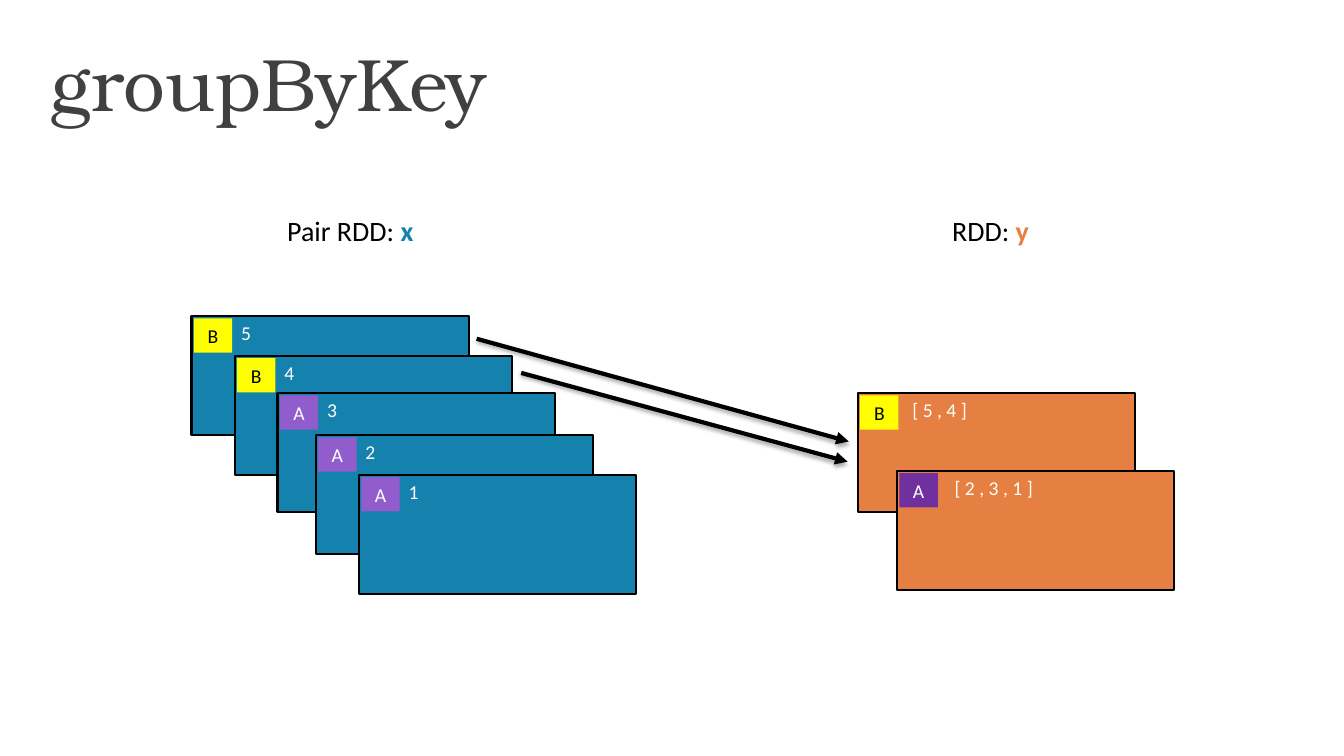
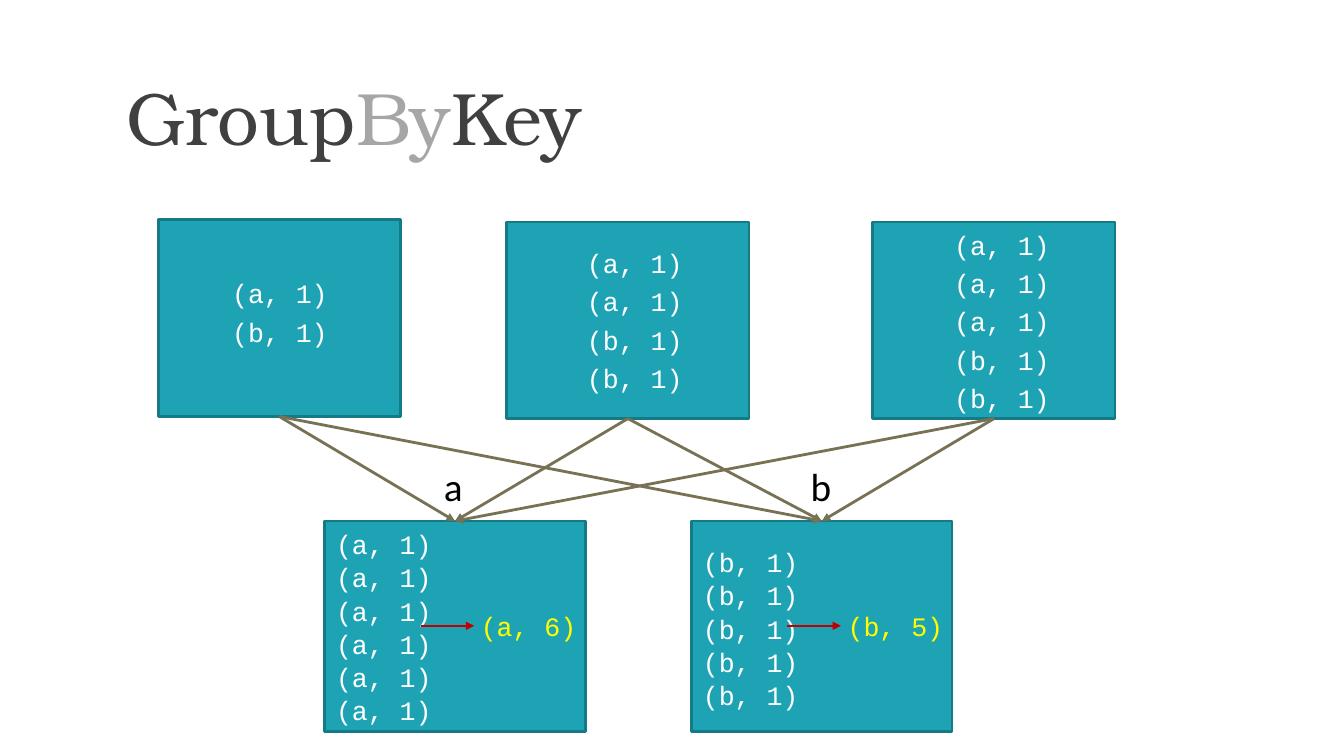
"""Two slides that explain groupByKey on pair RDDs."""
from lxml import etree
from pptx import Presentation
from pptx.dml import color
from pptx.enum import shapes, text
from pptx.oxml import ns
from pptx.util import Pt

SERIF, SANS, MONO = "TeX Gyre Bonum", "Calibri", "Courier New"
BLACK, WHITE, YELLOW, RED = "000000", "FFFFFF", "FFFF00", "C00000"
DARK, GREY, OLIVE = "404040", "A6A6A6", "787254"
BLUE, ORANGE, LILAC, PURPLE = "1482AC", "E68042", "915CCC", "7030A0"
TEAL, TEAL_EDGE = "1EA3B5", "167986"
CODE_SIZE, CODE_LINE = 19, 21.5


def rgb(value):
    """Turn a hex string into a colour."""
    return color.RGBColor.from_string(value)


def box(at):
    """Turn left, top, width and height in points into lengths."""
    return [Pt(v) for v in at]


def add_run(p, words, size, font, fill, bold=False):
    """Add one formatted run to a paragraph."""
    r = p.add_run()
    r.text = words
    r.font.size, r.font.name, r.font.bold = Pt(size), font, bold
    r.font.color.rgb = rgb(fill)


def add_text(s, at, align=text.PP_ALIGN.LEFT):
    """Add a wrapping text box and return its text frame."""
    tf = s.shapes.add_textbox(*box(at)).text_frame
    tf.word_wrap = True
    tf.paragraphs[0].alignment = align
    return tf


def add_label(s, at, runs, size, font=SANS, align=text.PP_ALIGN.LEFT):
    """Add a one-line label from (words, colour, bold) runs."""
    p = add_text(s, at, align).paragraphs[0]
    for words, fill, bold in runs:
        add_run(p, words, size, font, fill, bold)


def add_title(s, at, runs):
    """Add the slide title from (words, colour) runs."""
    tf = add_text(s, at)
    tf.margin_left = tf.margin_right = Pt(9.6)
    tf.margin_top = tf.margin_bottom = Pt(4.8)
    for words, fill in runs:
        add_run(tf.paragraphs[0], words, 53, SERIF, fill)


def add_code(s, x, y, lines, gap):
    """Add lines of code with an even gap between them."""
    height = len(lines) * (CODE_LINE + gap) - gap + 7.2
    tf = add_text(s, (x, y, 86, height))
    for i, line in enumerate(lines):
        p = tf.add_paragraph() if i else tf.paragraphs[0]
        if i:
            p.space_before = Pt(gap)
        add_run(p, line, CODE_SIZE, MONO, WHITE)


def add_rect(s, at, fill, edge=None, weight=1.5):
    """Add a flat rectangle with an optional outline."""
    sp = s.shapes.add_shape(shapes.MSO_SHAPE.RECTANGLE, *box(at))
    sp.shadow.inherit = False
    sp.fill.solid()
    sp.fill.fore_color.rgb = rgb(fill)
    if edge:
        sp.line.color.rgb = rgb(edge)
        sp.line.width = Pt(weight)
    else:
        sp.line.fill.background()
    return sp


def add_arrow(s, start, end, fill, weight, shadow=False):
    """Add a straight arrow, with a soft shadow if asked."""
    sp = s.shapes.add_connector(shapes.MSO_CONNECTOR.STRAIGHT, *box(start + end))
    sp.line.color.rgb = rgb(fill)
    sp.line.width = Pt(weight)
    ln = sp.line._get_or_add_ln()
    etree.SubElement(ln, ns.qn("a:tailEnd"), type="triangle")
    effects = etree.SubElement(sp._element.spPr, ns.qn("a:effectLst"))
    if shadow:
        outer = etree.SubElement(effects, ns.qn("a:outerShdw"), blurRad=str(Pt(3.1)),
                                 dist=str(Pt(1.8)), dir="5400000", rotWithShape="0")
        tint = etree.SubElement(outer, ns.qn("a:srgbClr"), val=BLACK)
        etree.SubElement(tint, ns.qn("a:alpha"), val="35000")
    return sp


def add_record(s, x, y, fill, key, key_fill, value, value_width):
    """Add a card with a key badge and its value."""
    add_rect(s, (x, y, 198, 85), fill, BLACK)
    badge = add_rect(s, (x + 1.7, y + 1.5, 27.4, 24.5), key_fill)
    p = badge.text_frame.paragraphs[0]
    p.alignment = text.PP_ALIGN.CENTER
    add_run(p, key, 14, SANS, BLACK if key_fill == YELLOW else WHITE)
    add_label(s, (x + 27, y, value_width, 24.5), [(value, WHITE, False)], 14,
              align=text.PP_ALIGN.CENTER)


def build_records(s):
    """Show the pairs of x grouped into the records of y."""
    add_title(s, (26.6, 21.6, 899, 90), [("groupByKey", DARK)])
    for x, words, name, fill in [(198, "Pair RDD: ", "x", BLUE), (673, "RDD: ", "y", ORANGE)]:
        add_label(s, (x, 149, 112, 31.5), [(words, BLACK, False), (name, fill, True)], 20)
    for x, y, key, key_fill, value in [
        (136.8, 226, "B", YELLOW, "5"),
        (167.6, 254.3, "B", YELLOW, "4"),
        (198.2, 281, "A", LILAC, "3"),
        (225.6, 311, "A", LILAC, "2"),
        (256.4, 339.4, "A", LILAC, "1"),
    ]:
        add_record(s, x, y, BLUE, key, key_fill, value, 24)
    add_record(s, 612.7, 281, ORANGE, "B", YELLOW, "[ 5 , 4 ]", 63)
    add_record(s, 640.8, 336.4, ORANGE, "A", PURPLE, "[ 2 , 3 , 1 ]", 84)
    add_arrow(s, (340.5, 242), (606.3, 315.4), BLACK, 3, shadow=True)
    add_arrow(s, (372.3, 266.4), (605.5, 329.8), BLACK, 3, shadow=True)


def build_shuffle(s):
    """Show every partition sending its pairs to each key."""
    add_title(s, (80.6, 46, 765, 118), [("Group", DARK), ("By", GREY), ("Key", DARK)])
    sources, targets = [], []
    for x, y, text_x, text_y, n_a, n_b in [
        (113, 157, 158.8, 194.4, 1, 1),
        (362, 158.5, 412.2, 172.8, 2, 2),
        (623.5, 158.5, 674.5, 159.8, 3, 2),
    ]:
        sources.append(add_rect(s, (x, y, 173, 140.5), TEAL, TEAL_EDGE, 2))
        add_code(s, text_x, text_y, ["(a, 1)"] * n_a + ["(b, 1)"] * n_b, 4.6)
    for x, text_y, key, count in [(232, 373.5, "a", 6), (494, 386.5, "b", 5)]:
        targets.append(add_rect(s, (x, 372.2, 186, 150.5), TEAL, TEAL_EDGE, 2))
        add_code(s, x + 1, text_y, [f"({key}, 1)"] * count, 1)
        add_label(s, (x + 104.4, 432, 86, 28.8), [(f"({key}, {count})", YELLOW, False)],
                  CODE_SIZE, MONO)
        add_arrow(s, (x + 68.4, 447), (x + 106.8, 447), RED, 1.5)
        add_label(s, (x + 78, 327, 50, 41), [(key, BLACK, False)], 28)
    for source in sources:
        for target in targets:
            link = add_arrow(s, (0, 0), (0, 0), OLIVE, 2)
            link.begin_connect(source, 2)
            link.end_connect(target, 0)


def main():
    """Build and save the presentation."""
    prs = Presentation()
    prs.slide_width, prs.slide_height = Pt(960), Pt(540)
    for build in (build_records, build_shuffle):
        build(prs.slides.add_slide(prs.slide_layouts[6]))
    prs.save("out.pptx")


if __name__ == "__main__":
    main()
